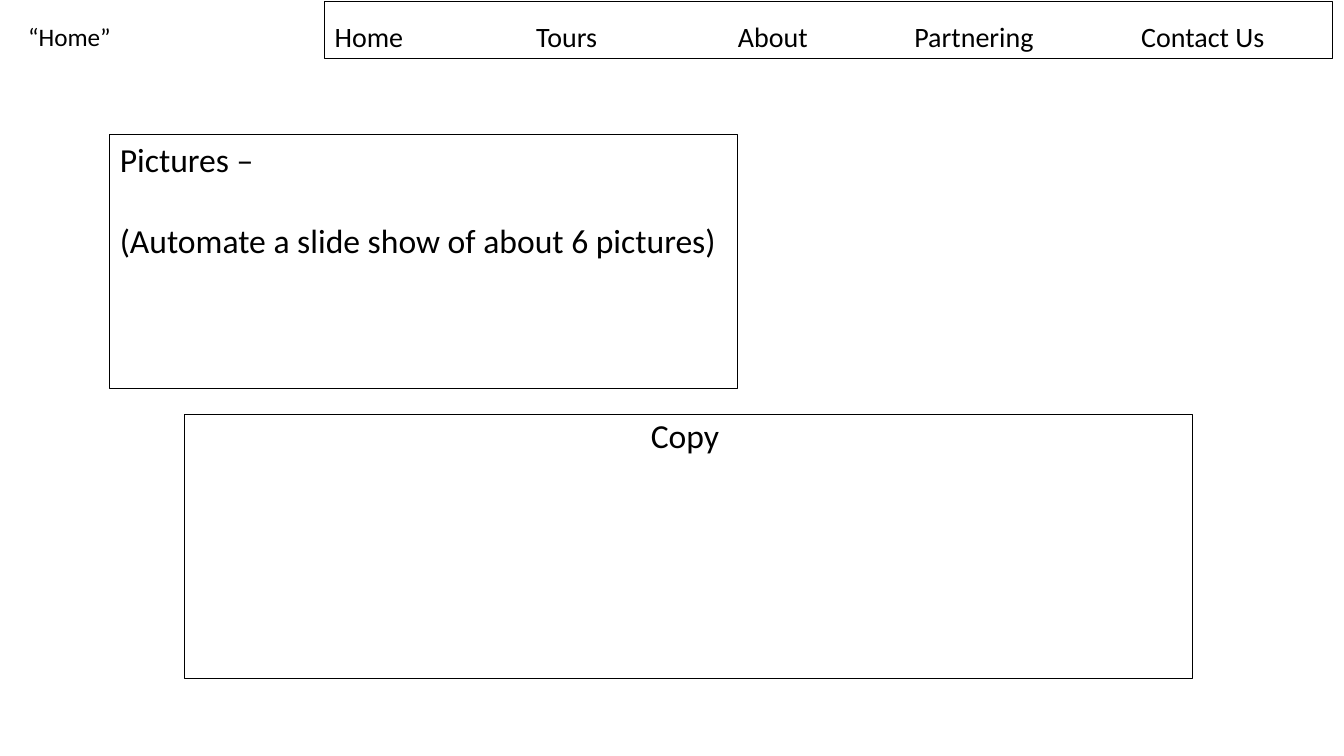
from lxml import etree
from pptx import Presentation
from pptx.dml.color import RGBColor
from pptx.enum.shapes import MSO_SHAPE
from pptx.enum.text import MSO_ANCHOR, PP_ALIGN
from pptx.oxml.ns import qn
from pptx.util import Inches, Pt

RECTANGLE = MSO_SHAPE.RECTANGLE
TOP, BOTTOM = MSO_ANCHOR.TOP, MSO_ANCHOR.BOTTOM
LEFT, CENTER = PP_ALIGN.LEFT, PP_ALIGN.CENTER
BLACK = RGBColor(0, 0, 0)
FONT = "Calibri"

MENU = ["Home", "Tours", "About", "Partnering", "Contact Us"]
MENU_STOPS = [2, 4, 5.75, 8]
PICTURES = ["Pictures –", "(Automate a slide show of about 6 pictures)"]
PICTURES_GAP = 29.3
COPY_RIGHT_MARGIN = 0.17

FRAMES = {
    "menu": ((3.22, 0.02, 10, 0.56), ["\t".join(MENU)], 20, LEFT, BOTTOM, 0.9),
    "copy": ((1.83, 4.11, 10, 2.62), ["Copy"], 24, CENTER, TOP, 0.9),
    "pictures": ((1.09, 1.33, 6.23, 2.52), PICTURES, 24, LEFT, TOP, 1.0),
}
PAGE_NAME = ((0.18, 0.16, 1.18, 0.4), ["“Home”"], 18, LEFT, TOP, 1.0)


def write(box, lines, size, align, anchor, spacing):
    frame = box.text_frame
    frame.word_wrap = True
    frame.vertical_anchor = anchor
    frame.text = "\n".join(lines)
    for para in frame.paragraphs:
        para.alignment = align
        para.line_spacing = spacing
        for span in para.runs:
            span.font.name = FONT
            span.font.size = Pt(size)
            span.font.color.rgb = BLACK


def add_frame(page, place, *content):
    box = page.shapes.add_shape(RECTANGLE, *map(Inches, place))
    box.shadow.inherit = False
    box.fill.background()
    box.line.color.rgb = BLACK
    box.line.width = Pt(0.75)
    write(box, *content)
    return box.text_frame


def set_tab_stops(para, stops):
    properties = para._p.get_or_add_pPr()
    tab_list = etree.SubElement(properties, qn("a:tabLst"))
    for stop in stops:
        etree.SubElement(tab_list, qn("a:tab"), pos=str(Inches(stop)), algn="l")


def main():
    deck = Presentation()
    deck.slide_width, deck.slide_height = Inches(13.33), Inches(7.5)
    page = deck.slides.add_slide(deck.slide_layouts[6])

    frames = {name: add_frame(page, *parts) for name, parts in FRAMES.items()}
    set_tab_stops(frames["menu"].paragraphs[0], MENU_STOPS)
    frames["copy"].margin_right = Inches(COPY_RIGHT_MARGIN)
    frames["pictures"].paragraphs[1].space_before = Pt(PICTURES_GAP)

    place, *content = PAGE_NAME
    label = page.shapes.add_textbox(*map(Inches, place))
    write(label, *content)

    deck.save("out.pptx")


if __name__ == "__main__":
    main()
